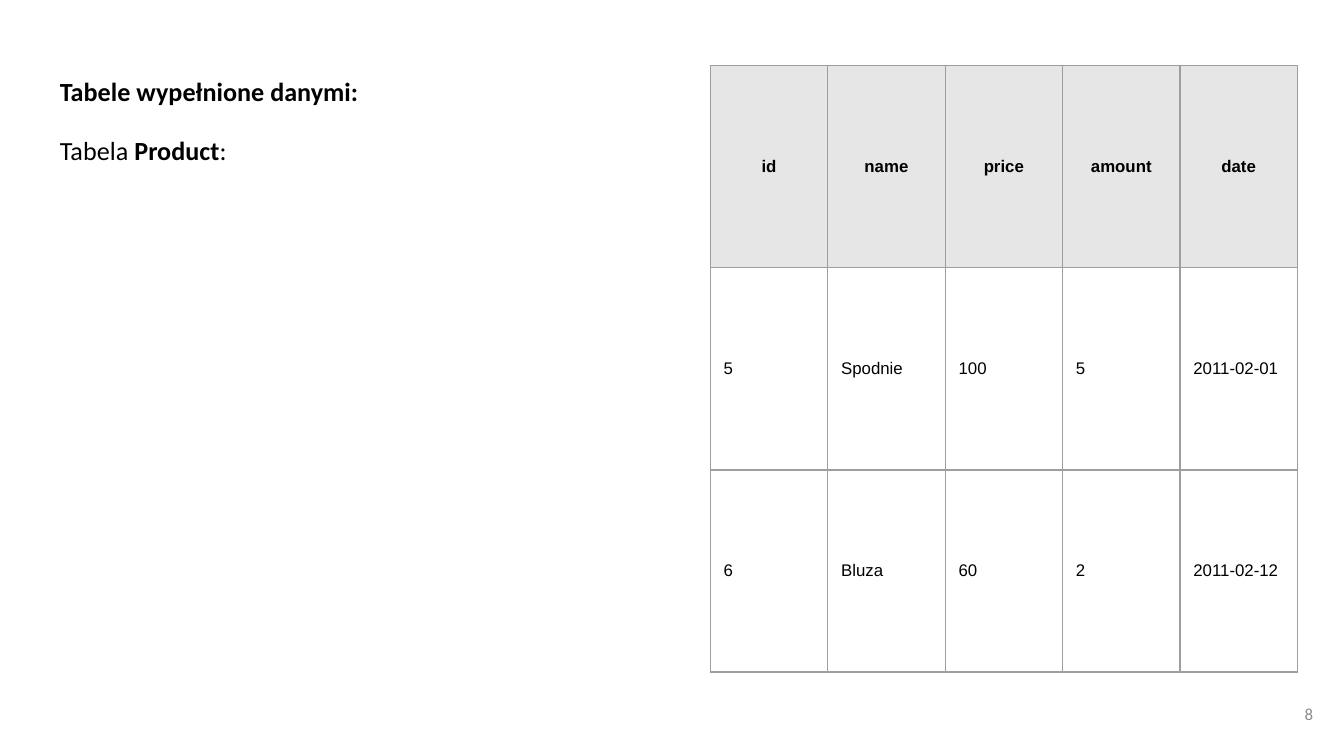
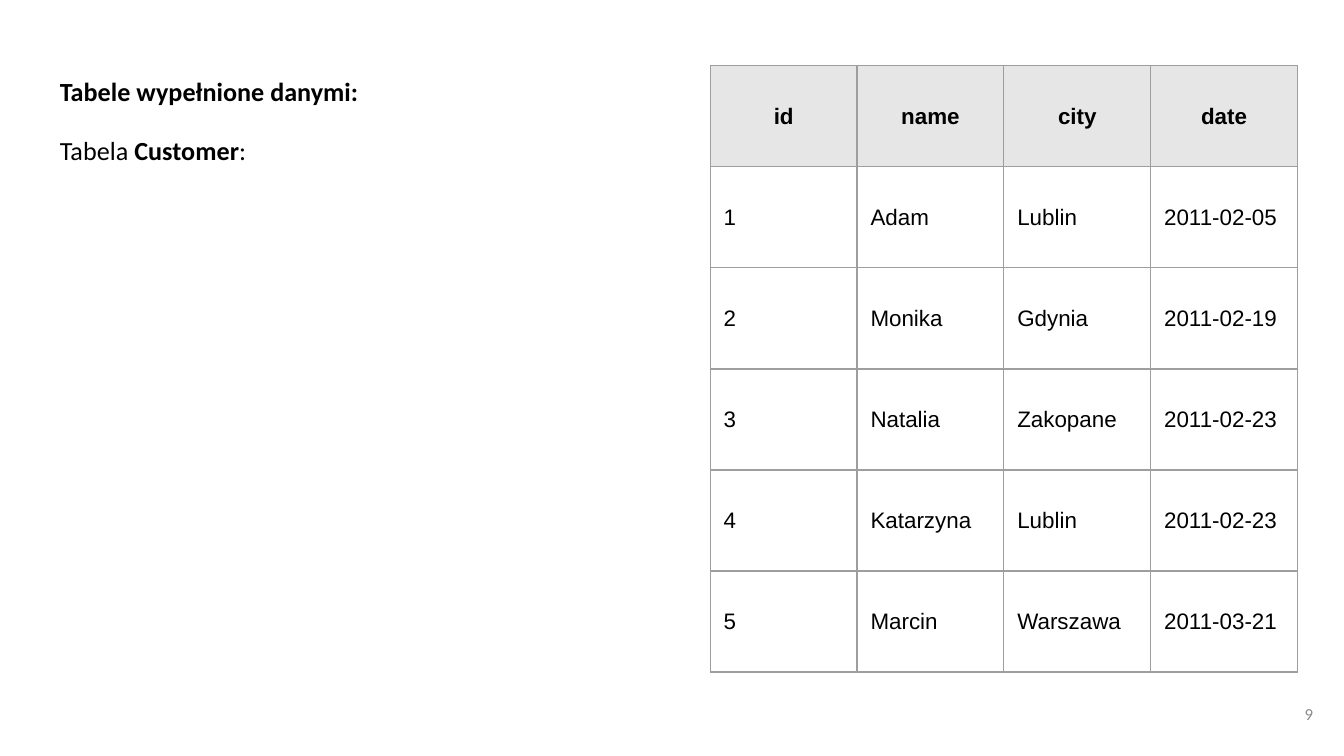
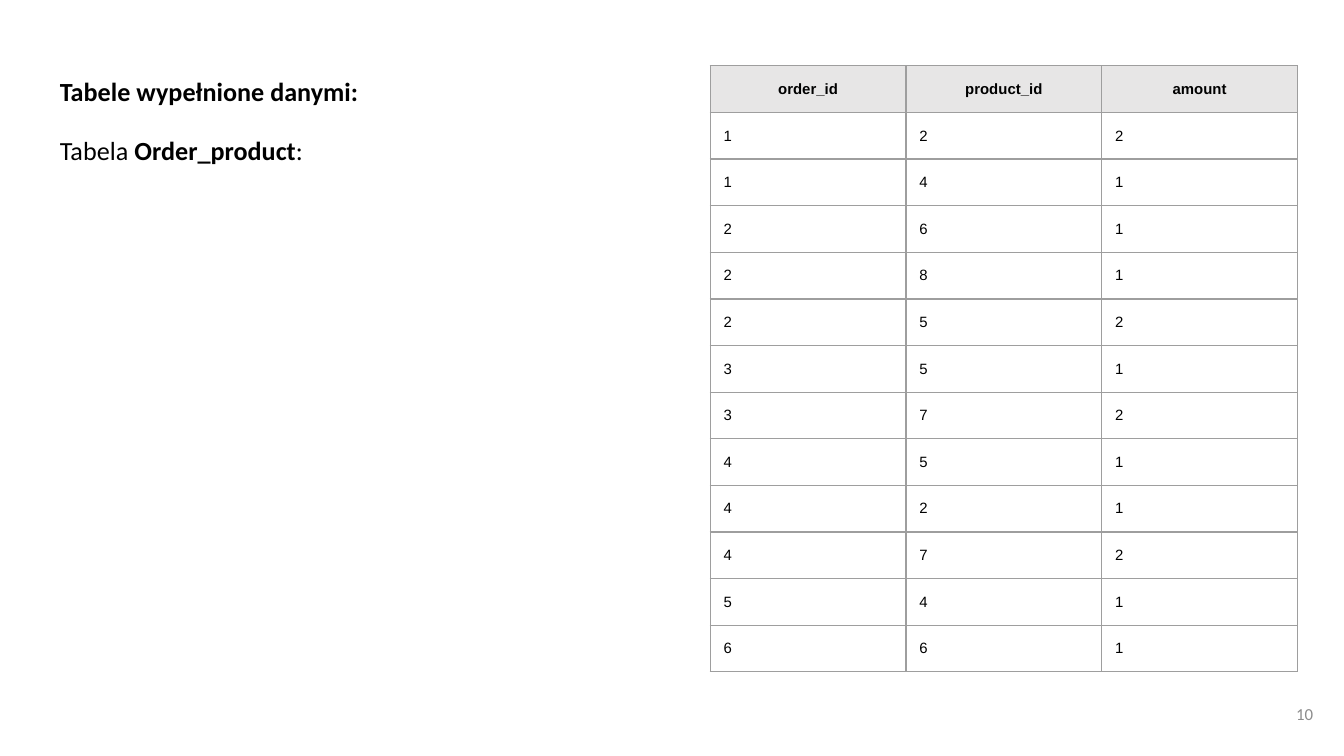
"""Build three slides that show sample rows of the shop database tables."""
from dataclasses import dataclass

from lxml import etree
from pptx import Presentation
from pptx.dml.color import RGBColor
from pptx.enum.text import MSO_ANCHOR, MSO_AUTO_SIZE, PP_ALIGN
from pptx.oxml.ns import qn
from pptx.util import Inches, Pt

LEFT, CENTER, RIGHT = PP_ALIGN.LEFT, PP_ALIGN.CENTER, PP_ALIGN.RIGHT
TOP, MIDDLE = MSO_ANCHOR.TOP, MSO_ANCHOR.MIDDLE
NO_FIT = MSO_AUTO_SIZE.NONE

HEADING = "Tabele wypełnione danymi:"
FIRST_PAGE = 8
TABLES = [
    {
        "name": "Product",
        "size": 9,
        "header": ["id", "name", "price", "amount", "date"],
        "records": [
            ("5", "Spodnie", "100", "5", "2011-02-01"),
            ("6", "Bluza", "60", "2", "2011-02-12"),
        ],
    },
    {
        "name": "Customer",
        "size": 12,
        "header": ["id", "name", "city", "date"],
        "records": [
            ("1", "Adam", "Lublin", "2011-02-05"),
            ("2", "Monika", "Gdynia", "2011-02-19"),
            ("3", "Natalia", "Zakopane", "2011-02-23"),
            ("4", "Katarzyna", "Lublin", "2011-02-23"),
            ("5", "Marcin", "Warszawa", "2011-03-21"),
        ],
    },
    {
        "name": "Order_product",
        "size": 8,
        "header": ["order_id", "product_id", "amount"],
        "records": [
            ("1", "2", "2"), ("1", "4", "1"), ("2", "6", "1"),
            ("2", "8", "1"), ("2", "5", "2"), ("3", "5", "1"),
            ("3", "7", "2"), ("4", "5", "1"), ("4", "2", "1"),
            ("4", "7", "2"), ("5", "4", "1"), ("6", "6", "1"),
        ],
    },
]


@dataclass(frozen=True)
class Theme:
    """Colours, fonts and type sizes shared by the slides."""
    ink: str = "000000"
    page_ink: str = "8C8C8C"
    header_fill: str = "E7E6E6"
    border: str = "9E9E9E"
    border_width: float = 0.75
    text_font: str = "Calibri"
    table_font: str = "Arial"
    text_size: int = 14
    page_size: int = 9
    line_spacing: float = 0.9
    gap: int = 16


THEME = Theme()
WIDTH, HEIGHT = Inches(10), Inches(5.625)
INSET = Inches(0.1)
MARGIN, PANEL_TOP = Inches(0.345), Inches(0.49)
PANEL_WIDTH, PANEL_HEIGHT = Inches(4.37), Inches(4.51)
TEXT_PANEL = (MARGIN, PANEL_TOP, PANEL_WIDTH, PANEL_HEIGHT)
TABLE_PANEL = (WIDTH - MARGIN - PANEL_WIDTH, *TEXT_PANEL[1:])
PAGE_BOX = (Inches(9.27), Inches(5.1), Inches(0.6), Inches(0.43))


def add_run(paragraph, text, size, font, color=THEME.ink, bold=False):
    """Append one formatted run."""
    run = paragraph.add_run()
    run.text = text
    run.font.size, run.font.name, run.font.bold = Pt(size), font, bold
    run.font.color.rgb = RGBColor.from_string(color)


def place(shape, box, anchor):
    """Move a text shape and return its prepared frame."""
    shape.left, shape.top, shape.width, shape.height = box
    frame = shape.text_frame
    frame.word_wrap, frame.auto_size, frame.vertical_anchor = True, NO_FIT, anchor
    frame.margin_left = frame.margin_right = INSET
    frame.margin_top = frame.margin_bottom = INSET
    return frame


def add_intro(slide, table_name):
    """Write the heading and the table name in the body placeholder."""
    title = slide.shapes.title.element
    title.getparent().remove(title)
    frame = place(slide.placeholders[1], TEXT_PANEL, TOP)
    lines = [
        [(HEADING, True)],
        [("Tabela ", False), (table_name, True), (":", False)],
    ]
    for index, line in enumerate(lines):
        paragraph = frame.add_paragraph() if index else frame.paragraphs[0]
        paragraph.alignment = LEFT
        paragraph.line_spacing = THEME.line_spacing
        paragraph.space_before, paragraph.space_after = Pt(THEME.gap * index), Pt(0)
        properties = paragraph._p.get_or_add_pPr()
        properties.set("marL", "0")
        properties.set("indent", "0")
        etree.SubElement(properties, qn("a:buNone"))
        for text, bold in line:
            add_run(paragraph, text, THEME.text_size, THEME.text_font, bold=bold)


def add_borders(cell):
    """Draw the four thin borders of a cell."""
    properties = cell._tc.get_or_add_tcPr()
    for side in ("lnL", "lnR", "lnT", "lnB"):
        line = etree.SubElement(properties, qn(f"a:{side}"), w=str(Pt(THEME.border_width)))
        fill = etree.SubElement(line, qn("a:solidFill"))
        etree.SubElement(fill, qn("a:srgbClr"), val=THEME.border)


def add_records(slide, content):
    """Add the table with a header row and equal rows and columns."""
    rows = [content["header"], *content["records"]]
    row_count, column_count = len(rows), len(rows[0])
    table = slide.shapes.add_table(row_count, column_count, *TABLE_PANEL).table
    table.horz_banding = False
    for column in table.columns:
        column.width = PANEL_WIDTH // column_count
    for row_index, values in enumerate(rows):
        table.rows[row_index].height = PANEL_HEIGHT // row_count
        is_header = row_index == 0
        for column_index, value in enumerate(values):
            cell = table.cell(row_index, column_index)
            cell.margin_left = cell.margin_right = INSET
            cell.margin_top = cell.margin_bottom = INSET
            cell.vertical_anchor = MIDDLE
            add_borders(cell)
            if is_header:
                cell.fill.solid()
                cell.fill.fore_color.rgb = RGBColor.from_string(THEME.header_fill)
            else:
                cell.fill.background()
            paragraph = cell.text_frame.paragraphs[0]
            paragraph.alignment = CENTER if is_header else LEFT
            add_run(paragraph, value, content["size"], THEME.table_font, bold=is_header)


def add_page_number(slide, number):
    """Write the page number at the lower right."""
    frame = place(slide.shapes.add_textbox(*PAGE_BOX), PAGE_BOX, MIDDLE)
    paragraph = frame.paragraphs[0]
    paragraph.alignment = RIGHT
    add_run(paragraph, str(number), THEME.page_size, THEME.text_font, THEME.page_ink)


def main():
    """Build and save the presentation."""
    deck = Presentation()
    deck.slide_width, deck.slide_height = WIDTH, HEIGHT
    for number, content in enumerate(TABLES, FIRST_PAGE):
        slide = deck.slides.add_slide(deck.slide_layouts[1])
        add_intro(slide, content["name"])
        add_page_number(slide, number)
        add_records(slide, content)
    deck.save("out.pptx")


if __name__ == "__main__":
    main()
